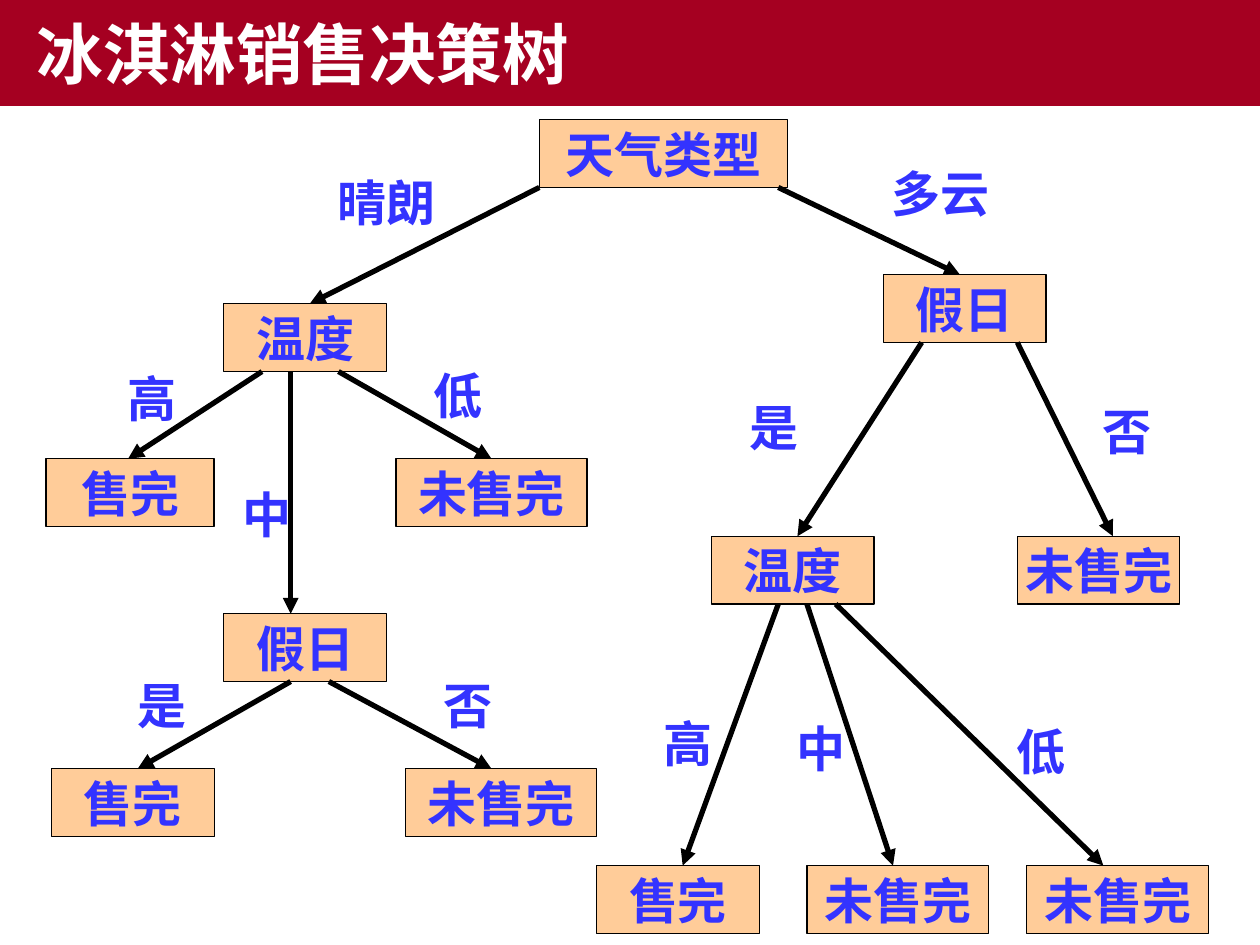
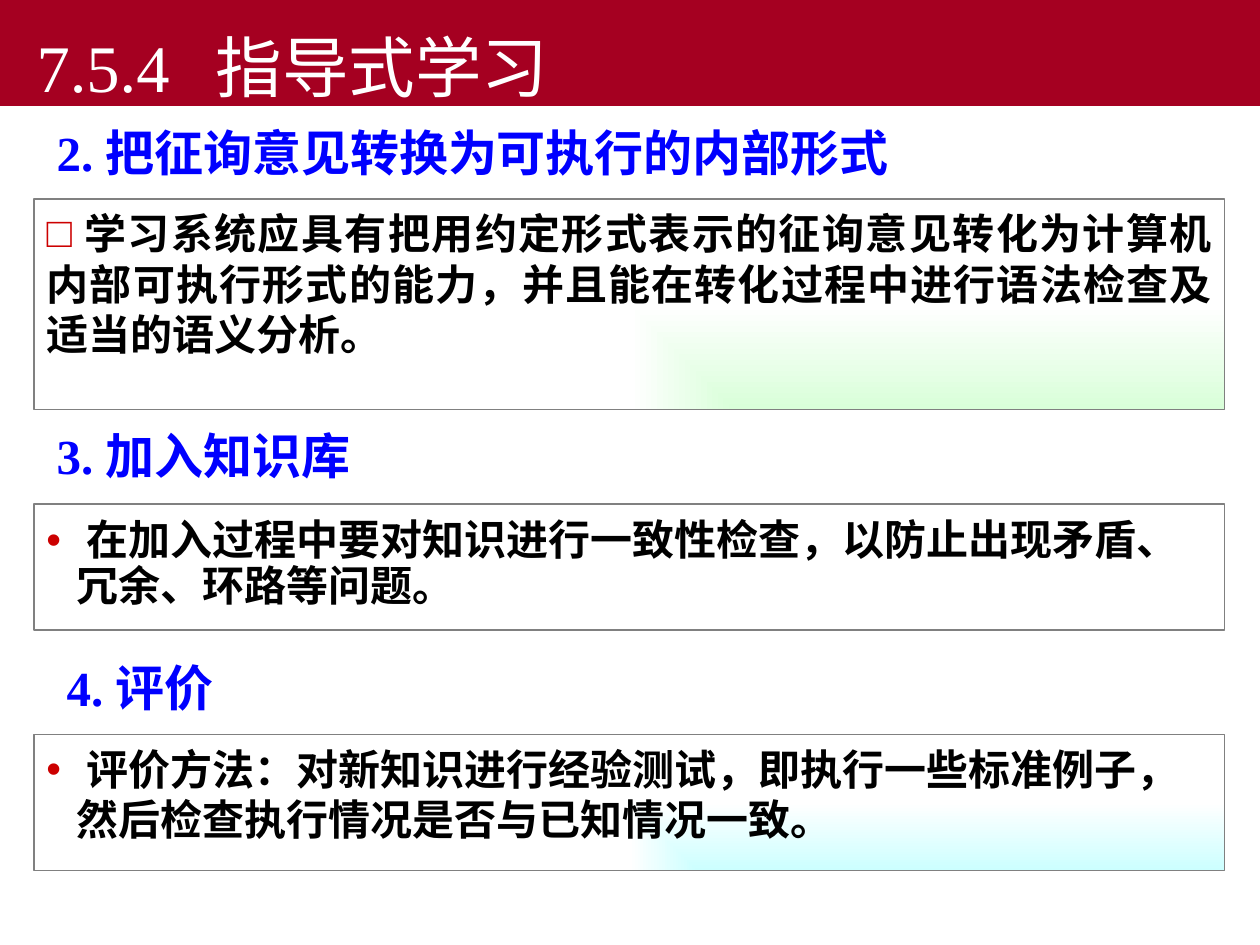
from lxml import etree
from pptx import Presentation
from pptx import util as u
from pptx.dml.color import RGBColor
from pptx.enum import shapes, text
from pptx.oxml import ns, parse_xml

COLORS = {
    "band": "A50021", "white": "FFFFFF", "black": "000000",
    "node": "FFCC99", "tree_text": "3333FF", "heading": "0000FF",
    "bullet": "CC0000", "frame": "808080", "green": "D9FFD9", "cyan": "CCFFFF",
}
CJK, SANS, SERIF = "Noto Sans CJK SC", "Arial", "Times New Roman"

# Tree grid: origin and cell size in inches
LEFT, TOP = 0.41, 0.95
COL, ROW = 7.74 / 102, 5.92 / 77
NODE_ROWS, LABEL_ROWS = 7, 7.4

# Node: text, column, row, width in columns
NODES = {
    "weather": ("天气类型", 51, 0, 26),
    "sunny_temp": ("温度", 18, 19, 17),
    "sunny_high": ("售完", -0.6, 35, 17.6),
    "sunny_low": ("未售完", 36, 35, 20),
    "sunny_holiday": ("假日", 18, 51, 17),
    "sunny_yes": ("售完", 0, 67, 17),
    "sunny_no": ("未售完", 37, 67, 20),
    "cloudy_holiday": ("假日", 87, 16, 17),
    "cloudy_temp": ("温度", 69, 43, 17),
    "cloudy_no": ("未售完", 101, 43, 17),
    "cloudy_high": ("售完", 57, 77, 17),
    "cloudy_mid": ("未售完", 79, 77, 19),
    "cloudy_low": ("未售完", 102, 77, 19),
}
# Branch: parent, child, start column, end column, label, label column, label row
BRANCHES = [
    ("weather", "sunny_temp", 51, 27, "晴朗", 28, 4.8),
    ("weather", "cloudy_holiday", 76, 95, "多云", 86, 3.9),
    ("sunny_temp", "sunny_high", 22, 8, "高", 6, 25),
    ("sunny_temp", "sunny_holiday", 25, 25, "中", 18, 37),
    ("sunny_temp", "sunny_low", 30, 46, "低", 38, 24.7),
    ("sunny_holiday", "sunny_yes", 25, 9, "是", 7, 56.7),
    ("sunny_holiday", "sunny_no", 29, 46, "否", 39, 56.7),
    ("cloudy_holiday", "cloudy_temp", 91, 78, "是", 71, 28),
    ("cloudy_holiday", "cloudy_no", 101, 111, "否", 108, 28.4),
    ("cloudy_temp", "cloudy_high", 76, 66, "高", 62, 60.7),
    ("cloudy_temp", "cloudy_mid", 79, 88, "中", 76, 61.2),
    ("cloudy_temp", "cloudy_low", 82, 110, "低", 99, 61.5),
]


def rgb(name):
    return RGBColor.from_string(COLORS[name])


def x_at(col):
    return u.Inches(LEFT + col * COL)


def y_at(row):
    return u.Inches(TOP + row * ROW)


def style_run(run, size, color, font, bold=True):
    run.font.size = u.Pt(size)
    run.font.bold = bold
    run.font.color.rgb = rgb(color)
    run.font.name = font
    east_asian = etree.SubElement(run.font._element, ns.qn("a:ea"))
    east_asian.set("typeface", CJK)


def place(shape, left, top, width, height):
    shape.left, shape.top = u.Inches(left), u.Inches(top)
    shape.width, shape.height = u.Inches(width), u.Inches(height)


def set_title(slide, words, font, bold, anchor):
    """Full-width band holding the slide title."""
    band = slide.shapes.title
    place(band, 0, 0, 10, 0.84)
    band.fill.solid()
    band.fill.fore_color.rgb = rgb("band")
    frame = band.text_frame
    frame.text = words
    frame.auto_size = text.MSO_AUTO_SIZE.NONE
    frame.vertical_anchor = anchor
    frame.margin_left = u.Inches(0.29)
    frame.margin_top = frame.margin_bottom = 0
    line = frame.paragraphs[0]
    line.alignment = text.PP_ALIGN.LEFT
    style_run(line.runs[0], 38, "white", font, bold)
    return line


# Decision tree parts
def add_node(slide, words, col, row, cols):
    node = slide.shapes.add_shape(
        shapes.MSO_SHAPE.RECTANGLE, x_at(col), y_at(row),
        u.Inches(cols * COL), u.Inches(NODE_ROWS * ROW))
    node.shadow.inherit = False
    node.fill.solid()
    node.fill.fore_color.rgb = rgb("node")
    node.line.color.rgb = rgb("black")
    node.line.width = u.Pt(0.75)
    frame = node.text_frame
    frame.text = words
    frame.word_wrap = False
    frame.vertical_anchor = text.MSO_ANCHOR.MIDDLE
    frame.paragraphs[0].alignment = text.PP_ALIGN.CENTER
    style_run(frame.paragraphs[0].runs[0], 28, "tree_text", CJK)


def add_arrow(slide, start_col, start_row, end_col, end_row):
    arrow = slide.shapes.add_connector(
        shapes.MSO_CONNECTOR.STRAIGHT, x_at(start_col), y_at(start_row),
        x_at(end_col), y_at(end_row))
    arrow.line.color.rgb = rgb("black")
    arrow.line.width = u.Pt(3)
    head = etree.SubElement(arrow.line._get_or_add_ln(), ns.qn("a:tailEnd"))
    head.set("type", "triangle")
    etree.SubElement(arrow._element.spPr, ns.qn("a:effectLst"))


def add_label(slide, words, col, row):
    cols = 4 + 5 * len(words)
    label = slide.shapes.add_textbox(
        x_at(col), y_at(row), u.Inches(cols * COL), u.Inches(LABEL_ROWS * ROW))
    frame = label.text_frame
    frame.text = words
    frame.word_wrap = True
    frame.paragraphs[0].alignment = text.PP_ALIGN.CENTER
    style_run(frame.paragraphs[0].runs[0], 28, "tree_text", CJK)


# Learning step parts
def add_heading(slide, number, words, left, top):
    heading = slide.shapes.add_textbox(
        u.Inches(left), u.Inches(top), u.Inches(7.17), u.Inches(0.57))
    frame = heading.text_frame
    frame.word_wrap = True
    frame.margin_left = u.Inches(0.2)
    line = frame.paragraphs[0]
    for part, font in ((number + " ", SERIF), (words, CJK)):
        run = line.add_run()
        run.text = part
        style_run(run, 28, "heading", font)


def fill_corner_glow(shape, color):
    """Tint the lower right corner, fading to white."""
    shape.fill.background()
    glow = parse_xml(
        f'<a:gradFill {ns.nsdecls("a")} rotWithShape="1"><a:gsLst>'
        f'<a:gs pos="0"><a:srgbClr val="{COLORS[color]}"/></a:gs>'
        f'<a:gs pos="100000"><a:srgbClr val="{COLORS["white"]}"/></a:gs>'
        '</a:gsLst><a:path path="rect">'
        '<a:fillToRect l="100000" t="100000"/></a:path></a:gradFill>')
    properties = shape._element.spPr
    properties.replace(properties.find(ns.qn("a:noFill")), glow)


def set_bullet(paragraph, mark, hang):
    properties = paragraph._p.get_or_add_pPr()
    properties.set("marL", str(u.Inches(hang)))
    properties.set("indent", str(-u.Inches(hang)))
    color = etree.SubElement(properties, ns.qn("a:buClr"))
    etree.SubElement(color, ns.qn("a:srgbClr")).set("val", COLORS["bullet"])
    etree.SubElement(properties, ns.qn("a:buFont")).set("typeface", SANS)
    etree.SubElement(properties, ns.qn("a:buChar")).set("char", mark)


def fill_panel(panel, words, top, height, mark, hang, font, glow=None,
               spacing=1.0, inset=0.07, align=text.PP_ALIGN.LEFT):
    place(panel, 0.27, top, 9.45, height)
    if glow:
        fill_corner_glow(panel, glow)
    else:
        panel.fill.solid()
        panel.fill.fore_color.rgb = rgb("white")
    panel.line.color.rgb = rgb("frame")
    panel.line.width = u.Pt(0.75)
    frame = panel.text_frame
    frame.text = " " + words
    frame.word_wrap = True
    frame.auto_size = text.MSO_AUTO_SIZE.NONE
    frame.vertical_anchor = text.MSO_ANCHOR.TOP
    frame.margin_top = u.Inches(inset)
    line = frame.paragraphs[0]
    line.alignment = align
    line.line_spacing = spacing
    line.space_before = u.Pt(0)
    set_bullet(line, mark, hang)
    style_run(line.runs[0], 24, "black", font)


def add_panel(slide, *args, **options):
    panel = slide.shapes.add_shape(shapes.MSO_SHAPE.RECTANGLE, 0, 0, 0, 0)
    panel.shadow.inherit = False
    fill_panel(panel, *args, **options)


def build_tree_slide(prs):
    slide = prs.slides.add_slide(prs.slide_layouts[5])
    set_title(slide, "冰淇淋销售决策树", SANS, True, text.MSO_ANCHOR.MIDDLE)
    for node in NODES.values():
        add_node(slide, *node)
    for parent, child, start, end, words, col, row in BRANCHES:
        add_arrow(slide, start, NODES[parent][2] + NODE_ROWS, end, NODES[child][2])
        add_label(slide, words, col, row)


def build_steps_slide(prs):
    slide = prs.slides.add_slide(prs.slide_layouts[1])
    line = set_title(slide, "7.5.4\t指导式学习", SERIF, False, text.MSO_ANCHOR.BOTTOM)
    tabs = etree.SubElement(line._p.get_or_add_pPr(), ns.qn("a:tabLst"))
    stop = etree.SubElement(tabs, ns.qn("a:tab"))
    stop.set("pos", str(u.Inches(1.42)))
    stop.set("algn", "l")

    add_heading(slide, "2.", "把征询意见转换为可执行的内部形式", 0.25, 0.92)
    fill_panel(
        slide.placeholders[1],
        "学习系统应具有把用约定形式表示的征询意见转化为计算机内部可执行形式的能力，"
        "并且能在转化过程中进行语法检查及适当的语义分析。",
        1.58, 1.67, "□", 0, SANS, glow="green", align=text.PP_ALIGN.JUSTIFY)

    add_heading(slide, "3.", "加入知识库", 0.25, 3.33)
    add_panel(
        slide, "在加入过程中要对知识进行一致性检查，以防止出现矛盾、冗余、环路等问题。",
        4, 1, "•", 0.24, SERIF, spacing=0.91, inset=0.12)

    add_heading(slide, "4.", "评价", 0.33, 5.17)
    add_panel(
        slide, "评价方法：对新知识进行经验测试，即执行一些标准例子，"
        "然后检查执行情况是否与已知情况一致。",
        5.83, 1.08, "•", 0.24, CJK, glow="cyan")


def main():
    prs = Presentation()
    prs.slide_width, prs.slide_height = u.Inches(10), u.Inches(7.5)
    build_tree_slide(prs)
    build_steps_slide(prs)
    prs.save("out.pptx")


if __name__ == "__main__":
    main()
